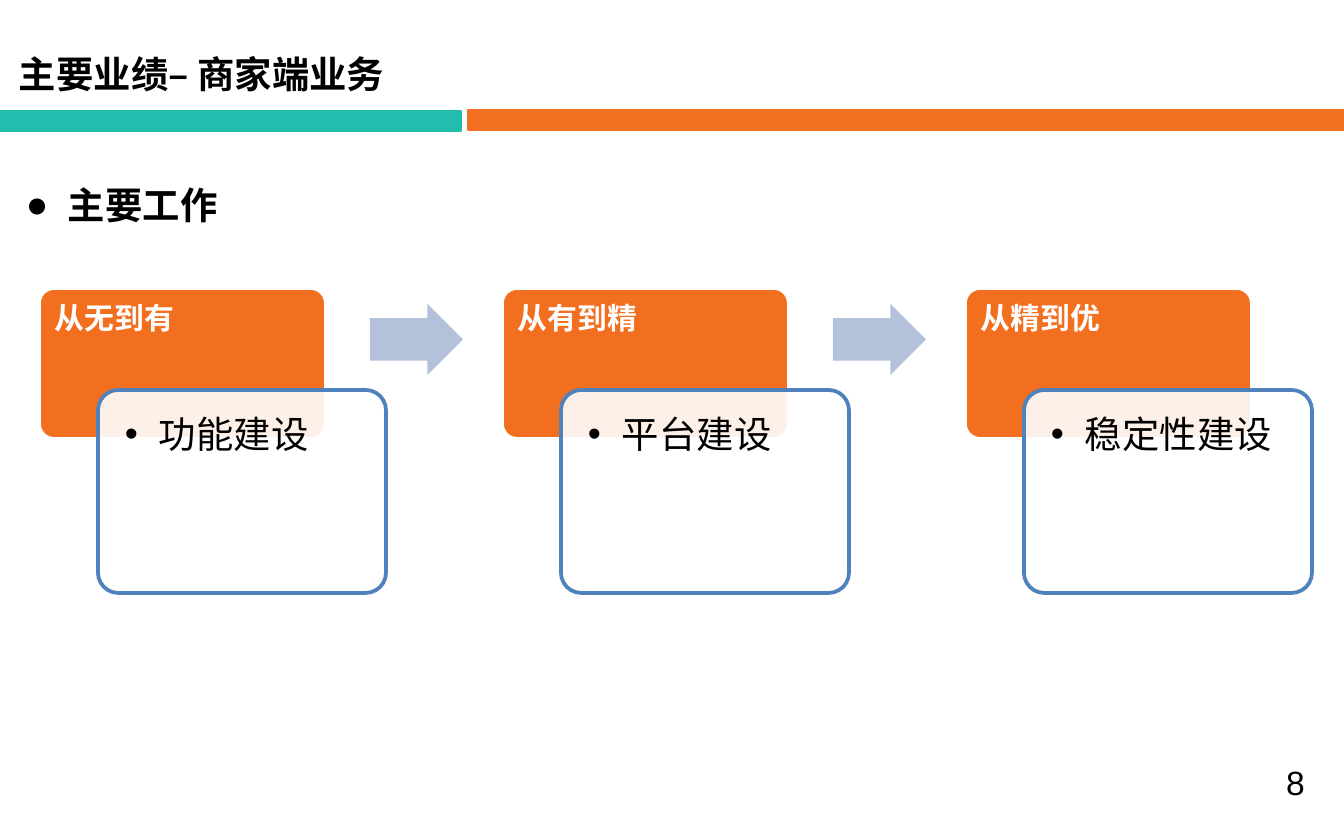
from dataclasses import dataclass

from pptx import Presentation
from pptx.dml.color import RGBColor
from pptx.enum.shapes import MSO_SHAPE as Shape
from pptx.enum.text import MSO_ANCHOR as Anchor, MSO_AUTO_SIZE as AutoSize, PP_ALIGN as Align
from pptx.oxml.ns import qn
from pptx.util import Emu, Pt
from lxml.etree import SubElement

EMU_PER_PX = 914400 / 134.4


def px(length):
    return Emu(round(length * EMU_PER_PX))


@dataclass(frozen=True)
class Theme:
    cjk: str = "Noto Sans CJK SC"
    latin: str = "Arial"
    black: str = "000000"
    white: str = "FFFFFF"
    teal: str = "24BDAD"
    orange: str = "F36F20"
    blue: str = "4F81BD"
    arrow: str = "B3C1DB"
    heading: int = 20
    stage: int = 16
    number: int = 18


class Deck:
    def __init__(self, theme, width, height):
        self.theme = theme
        self.file = Presentation()
        self.file.slide_width, self.file.slide_height = px(width), px(height)
        self.slide = self.file.slides.add_slide(self.file.slide_layouts[5])

    def shape(self, kind, box, fill, line=None, weight=1, adjust=(), opacity=100):
        item = self.slide.shapes.add_shape(kind, *map(px, box))
        item.shadow.inherit = False
        for index, value in enumerate(adjust):
            item.adjustments[index] = value
        item.fill.solid()
        item.fill.fore_color.rgb = RGBColor.from_string(fill)
        if opacity < 100:
            color = item._element.spPr.find(qn("a:solidFill"))[0]
            SubElement(color, qn("a:alpha"), val=str(opacity * 1000))
        if line:
            item.line.color.rgb = RGBColor.from_string(line)
            item.line.width = Pt(weight)
        else:
            item.line.fill.background()

    def fill_frame(self, frame, words, size, color, bold=False, font=None, insets=(8, 8, 8, 8),
                   bullet=None, indent=0, spacing=None, wrap=True):
        frame.word_wrap = wrap
        frame.auto_size = AutoSize.NONE
        frame.vertical_anchor = Anchor.TOP
        (frame.margin_left, frame.margin_top,
         frame.margin_right, frame.margin_bottom) = map(px, insets)
        paragraph = frame.paragraphs[0]
        paragraph.alignment = Align.LEFT
        if bullet:
            props = paragraph._p.get_or_add_pPr()
            props.set("marL", str(px(indent)))
            props.set("indent", str(-px(indent)))
            SubElement(props, qn("a:buFont"), typeface=self.theme.latin)
            SubElement(props, qn("a:buChar"), char=bullet)
        if spacing:
            paragraph.line_spacing = spacing
        run = paragraph.add_run()
        run.text = words
        run.font.size = Pt(size)
        run.font.bold = bold
        run.font.color.rgb = RGBColor.from_string(color)
        run.font.name = font or self.theme.cjk
        SubElement(run._r.get_or_add_rPr(), qn("a:ea"), typeface=run.font.name)

    def title(self, box, words):
        title = self.slide.shapes.title
        title.left, title.top, title.width, title.height = map(px, box)
        self.fill_frame(title.text_frame, words, self.theme.heading, self.theme.black, bold=True)

    def text(self, box, words, size, color, **style):
        item = self.slide.shapes.add_textbox(*map(px, box))
        self.fill_frame(item.text_frame, words, size, color, **style)

    def stage(self, left, top, name, work):
        theme = self.theme
        self.shape(Shape.ROUNDED_RECTANGLE, (left, top, 287, 151), theme.orange,
                   theme.white, 2, (0.1,))
        self.text((left, top, 287, 102), name, theme.stage, theme.white, bold=True,
                  insets=(16, 16, 16, 9), spacing=0.9)
        self.shape(Shape.ROUNDED_RECTANGLE, (left + 59, top + 102, 288, 203), theme.white,
                   theme.blue, 2, (0.1,), opacity=90)
        self.text((left + 65, top + 107, 276, 191), work, theme.heading, theme.black,
                  insets=(21, 21, 21, 21), bullet="•", indent=34, spacing=0.9)

    def arrow(self, left, top):
        self.shape(Shape.RIGHT_ARROW, (left, top, 93, 71), self.theme.arrow, adjust=(0.6, 0.5))


def main():
    theme = Theme()
    deck = Deck(theme, 1344, 840)
    deck.shape(Shape.RECTANGLE, (0, 111, 461, 20), theme.teal, theme.teal)
    deck.shape(Shape.RECTANGLE, (468, 110, 876, 20), theme.orange, theme.orange)
    deck.title((11, 43, 410, 61), "主要业绩– 商家端业务")
    deck.text((20, 175, 392, 59), "主要工作", theme.heading, theme.black, bold=True,
              insets=(6, 7, 6, 7), bullet="●", indent=42)
    deck.text((1279, 755, 32, 54), "8", theme.number, theme.black, font=theme.latin,
              insets=(7, 7, 7, 7), wrap=False)

    stages = [("从无到有", "功能建设"), ("从有到精", "平台建设"), ("从精到优", "稳定性建设")]
    first, top, pitch = 39, 288, 463
    for index, (name, work) in enumerate(stages):
        left = first + index * pitch
        deck.stage(left, top, name, work)
        if index < len(stages) - 1:
            deck.arrow(left + 331, top + 16)

    deck.file.save("out.pptx")


if __name__ == "__main__":
    main()
